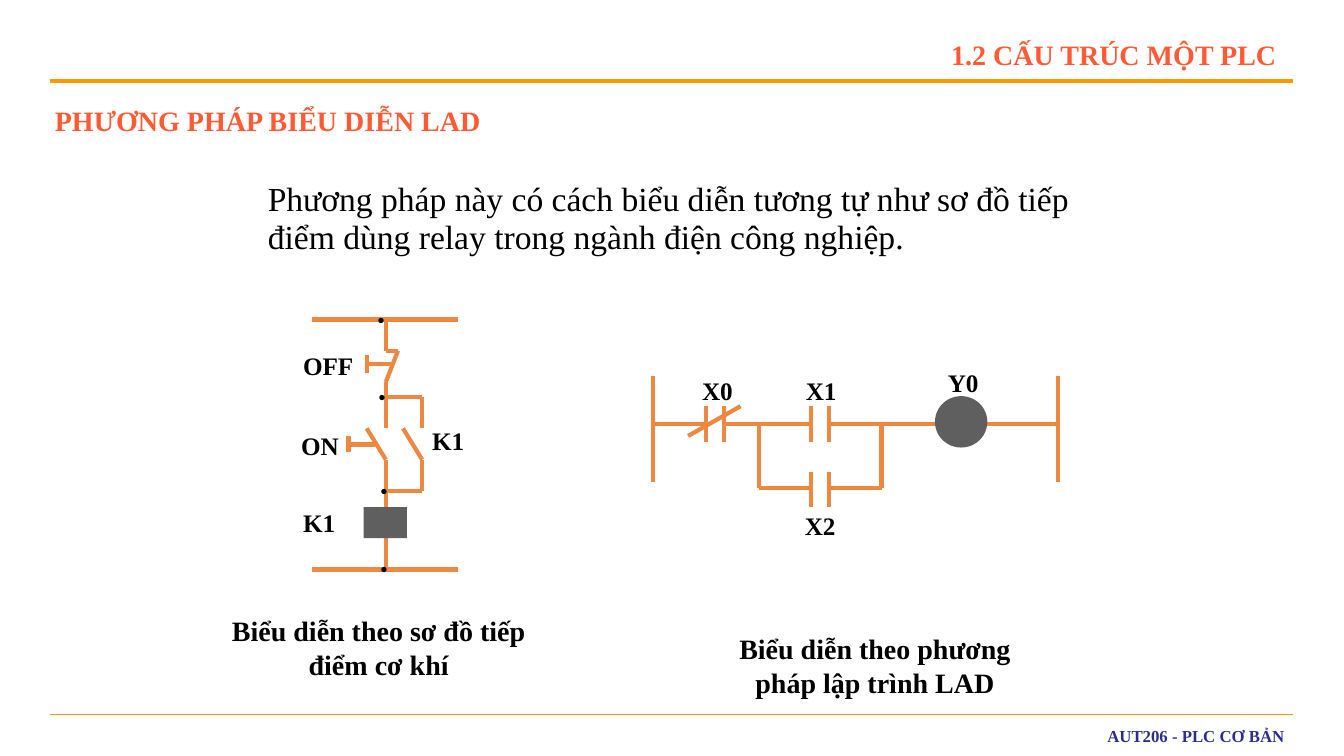
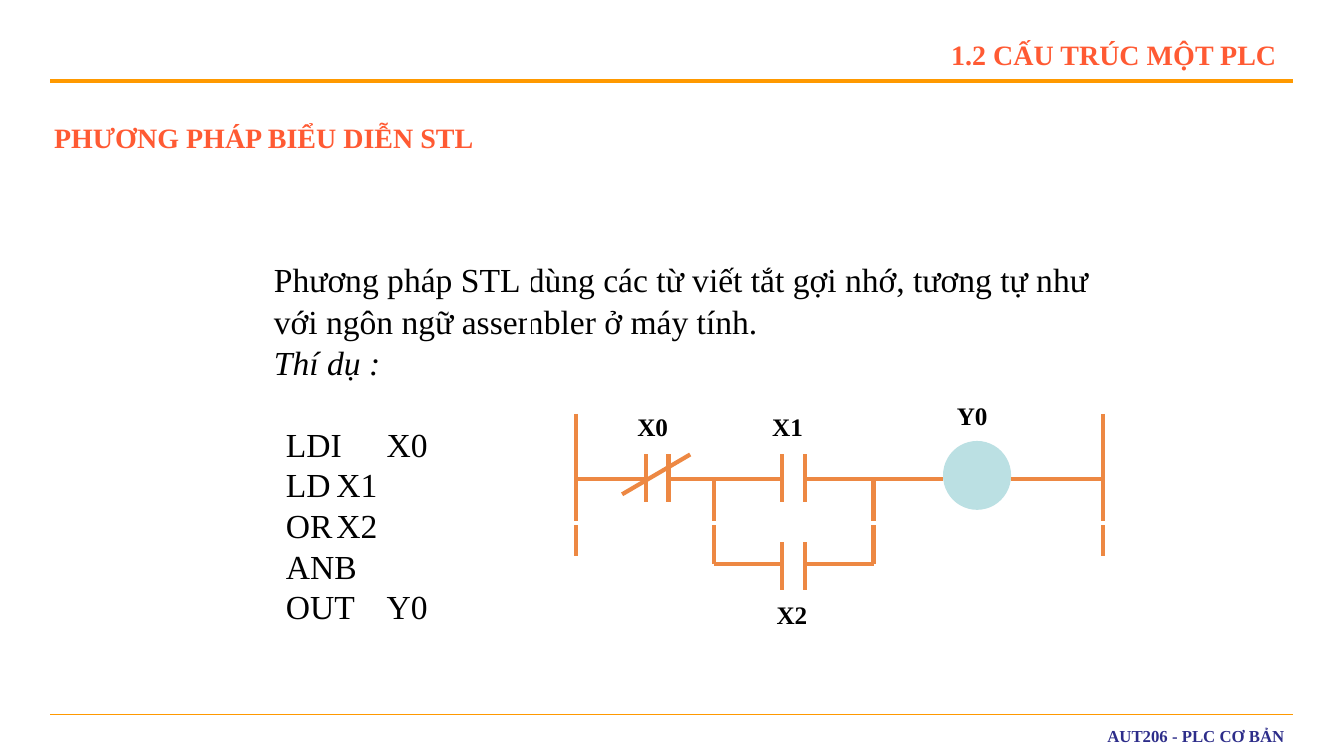
from dataclasses import dataclass

from lxml import etree
from pptx import Presentation
from pptx.dml.color import RGBColor
from pptx.enum import shapes as sh, text as tx
from pptx.oxml.ns import qn
from pptx.util import Inches, Pt

COLORS = {"wire": "ED8843", "coil": "5F5F5F", "lamp": "BBE0E3", "head": "FF5A33",
          "rule": "FF9900", "foot": "2D2D8A", "ink": "000000", "white": "FFFFFF"}
SERIF = "Times New Roman"
LEFT, RIGHT = tx.PP_ALIGN.LEFT, tx.PP_ALIGN.RIGHT
CENTER = tx.PP_ALIGN.CENTER
TOP, MIDDLE = tx.MSO_ANCHOR.TOP, tx.MSO_ANCHOR.MIDDLE


@dataclass(frozen=True)
class Style:
    size: float
    color: str = "ink"
    bold: bool = True
    align: tx.PP_ALIGN = LEFT
    anchor: tx.MSO_ANCHOR = TOP
    font: str = SERIF
    pad: tuple = (0.1, 0.05, 0.1, 0.05)


@dataclass(frozen=True)
class Label:
    text: str
    x: float
    y: float
    w: float
    h: float


@dataclass(frozen=True)
class Ladder:
    x: float
    y: float
    across: float
    down: float
    coil: str
    below: tuple  # place of the X2 label


TITLE = Style(20, "head", align=RIGHT, anchor=MIDDLE, pad=(0.1, 0.05, 0.17, 0.05))
HEAD = Style(20, "head", align=RIGHT, anchor=MIDDLE)
FOOT = Style(12, "foot", align=RIGHT, anchor=MIDDLE, pad=(0.08, 0.04, 0.08, 0.04))
TAG = Style(18)
NOTE = Style(20, align=CENTER)
DOT = Style(14, bold=False, font="Arial")
BODY = Style(24, bold=False)


def rgb(name: str) -> RGBColor:
    return RGBColor.from_string(COLORS[name])


# Text
def setup(frame, style: Style) -> None:
    frame.word_wrap = True
    frame.auto_size = tx.MSO_AUTO_SIZE.NONE
    frame.vertical_anchor = style.anchor
    (frame.margin_left, frame.margin_top,
     frame.margin_right, frame.margin_bottom) = map(Inches, style.pad)


def write(para, words: str, style: Style, slant: bool = False) -> None:
    para.alignment = style.align
    run = para.add_run()
    run.text = words
    font = run.font
    font.name, font.size = style.font, Pt(style.size)
    font.bold, font.italic = style.bold, slant
    font.color.rgb = rgb(style.color)


def add_box(slide, label: Label, style: Style):
    box = slide.shapes.add_textbox(*map(Inches, (label.x, label.y, label.w, label.h)))
    setup(box.text_frame, style)
    if label.text:
        write(box.text_frame.paragraphs[0], label.text, style)
    return box.text_frame


def indent(para, left: float, stops: tuple = ()) -> None:
    props = para._p.get_or_add_pPr()
    props.set("marL", str(Inches(left)))
    props.set("indent", "0")
    if stops:
        tabs = etree.SubElement(props, qn("a:tabLst"))
        for stop in stops:
            etree.SubElement(tabs, qn("a:tab"), pos=str(Inches(stop)), algn="l")


# Lines and shapes
def add_line(slide, x1: float, y1: float, x2: float, y2: float,
             color: str = "wire", width: float = 3) -> None:
    line = slide.shapes.add_connector(sh.MSO_CONNECTOR.STRAIGHT,
                                      *map(Inches, (x1, y1, x2, y2)))
    line.line.color.rgb = rgb(color)
    line.line.width = Pt(width)
    etree.SubElement(line._element.spPr, qn("a:effectLst"))


def add_shape(slide, kind: sh.MSO_SHAPE, place: tuple, fill: str = "", edge: str = "") -> None:
    shape = slide.shapes.add_shape(kind, *map(Inches, place))
    shape.shadow.inherit = False
    if fill:
        shape.fill.solid()
        shape.fill.fore_color.rgb = rgb(fill)
    else:
        shape.fill.background()
    if edge:
        shape.line.color.rgb = rgb(edge)
        shape.line.width = Pt(3)
    else:
        shape.line.fill.background()


# Shared parts of every slide
def add_slide(deck):
    slide = deck.slides.add_slide(deck.slide_layouts[5])
    title = slide.shapes.title
    title.left, title.top, title.width, title.height = map(Inches, (9.17, 0.27, 3.67, 0.53))
    setup(title.text_frame, TITLE)
    write(title.text_frame.paragraphs[0], "1.2 CẤU TRÚC MỘT PLC", TITLE)
    for y, width in ((0.8, 3), (7.09, 0.75)):
        add_line(slide, 0.5, y, 12.83, y, "rule", width)
    add_box(slide, Label("AUT206 - PLC CƠ BẢN", 3.84, 7.11, 8.99, 0.38), FOOT)
    return slide


# Ladder diagram, drawn from its left rail and main rung
def draw_ladder(slide, lad: Ladder) -> None:
    def at(x: float, y: float) -> tuple:
        return lad.x + x * lad.across, lad.y + y * lad.down

    def wire(x1: float, y1: float, x2: float, y2: float) -> None:
        add_line(slide, *at(x1, y1), *at(x2, y2))

    low, end = 0.63, 4.02
    for x in (0, end):
        wire(x, -0.48, x, 0.57)
    for x1, x2 in ((0, 0.53), (0.7, 1.57), (1.75, 2.8), (3.32, end)):
        wire(x1, 0, x2, 0)
    for x, y in ((0.53, 0), (1.57, 0), (1.57, low + 0.02)):
        for plate in (x, x + 0.175):
            wire(plate, y - 0.18, plate, y + 0.175)
    wire(0.35, 0.115, 0.87, -0.18)
    for x, plate in ((1.05, 1.57), (2.27, 1.75)):
        wire(x, 0, x, low)
        wire(x, low, plate, low)
    add_shape(slide, sh.MSO_SHAPE.OVAL,
              (*at(2.8, -0.28), 0.52 * lad.across, 0.51 * lad.down), lad.coil)
    tags = (("X0", at(0.39, -0.54)), ("X1", at(1.42, -0.54)),
            ("Y0", at(2.83, -0.62)), ("X2", lad.below))
    for name, place in tags:
        add_box(slide, Label(name, *place, 0.87, 0.45), TAG)


# Relay diagram
def draw_relay(slide) -> None:
    main, side = 3.83, 4.19
    wires = [
        (main, 3.17, main, 3.48), (main, 3.48, 3.95, 3.48), (3.95, 3.48, main, 3.79),
        (main, 3.79, main, 4.25), (main, 4.56, main, 5.03), (main, 5.34, main, 5.65),
        (3.64, 3.61, 3.88, 3.61), (3.64, 3.52, 3.64, 3.7),
        (3.48, 4.41, 3.72, 4.41), (3.46, 4.33, 3.46, 4.48),
        (side, 3.94, side, 4.25), (side, 4.56, side, 4.87)]
    wires += [(3.1, y, 4.55, y) for y in (3.17, 5.65)]
    wires += [(main, y, side, y) for y in (3.94, 4.87)]
    wires += [(x - 0.19, 4.25, x, 4.56) for x in (main, side)]
    for ends in wires:
        add_line(slide, *ends)
    add_shape(slide, sh.MSO_SHAPE.RECTANGLE, (3.61, 5.03, 0.43, 0.31), "coil")
    for x, y in ((3.65, 3.01), (3.66, 3.77), (3.68, 4.7), (3.68, 5.48)):
        add_box(slide, Label("•", x, y, 0.48, 0.4), DOT)
    for name, x, y in (("OFF", 2.91, 3.43), ("ON", 2.89, 4.22),
                       ("K1", 4.19, 4.17), ("K1", 2.91, 4.98)):
        add_box(slide, Label(name, x, y, 0.82, 0.45), TAG)


def make_lad(deck) -> None:
    slide = add_slide(deck)
    add_box(slide, Label("PHƯƠNG PHÁP BIỂU DIỄN LAD", 0.27, 0.93, 4.6, 0.53), HEAD)
    para = add_box(slide, Label("", 2.18, 1.74, 9.07, 0.92), BODY).paragraphs[0]
    indent(para, 0.38)
    para.line_spacing = 0.95
    write(para, "Phương pháp này có cách biểu diễn tương tự như sơ đồ tiếp điểm "
                "dùng relay trong ngành điện công nghiệp.", BODY)
    draw_relay(slide)
    draw_ladder(slide, Ladder(6.48, 4.21, 1, 1, "coil", (7.89, 5.01)))
    for note in (Label("Biểu diễn theo sơ đồ tiếp điểm cơ khí", 2.13, 6.04, 3.26, 0.77),
                 Label("Biểu diễn theo phương pháp lập trình LAD", 7.19, 6.22, 2.99, 0.78)):
        add_box(slide, note, NOTE)


def make_stl(deck) -> None:
    slide = add_slide(deck)
    frame = add_box(slide, Label("", 2.24, 2.5, 9.11, 4.33), BODY)
    para = frame.paragraphs[0]
    indent(para, 0.38)
    para.line_spacing = 1.05
    write(para, "Phương pháp STL dùng các từ viết tắt gợi nhớ, tương tự như "
                "với ngôn ngữ assembler ở máy tính.", BODY)
    para = frame.add_paragraph()
    indent(para, 0.38)
    para.line_spacing, para.space_before = 0.8, Pt(6)
    write(para, "Thí dụ :", BODY, slant=True)

    # Instruction list
    code = ("LDI\tX0", "LD\tX1", "OR\tX2", "ANB", "OUT\tY0")
    for row, words in enumerate(code):
        para = frame.add_paragraph()
        indent(para, 0, (1.38, 2.38))
        para.line_spacing, para.space_before = 0.8, Pt(6 if row else 35)
        write(para, "\t" + words, BODY)

    draw_ladder(slide, Ladder(5.72, 4.75, 1.3, 1.34, "lamp", (7.61, 5.9)))
    add_shape(slide, sh.MSO_SHAPE.RECTANGLE, (5.25, 2.5, 6.26, 2.69), edge="white")
    add_box(slide, Label("PHƯƠNG PHÁP BIỂU DIỄN STL", 0.29, 1.1, 4.51, 0.53), HEAD)


def main() -> None:
    deck = Presentation()
    deck.slide_width, deck.slide_height = Inches(13.34), Inches(7.5)
    make_lad(deck)
    make_stl(deck)
    deck.save("out.pptx")


if __name__ == "__main__":
    main()
